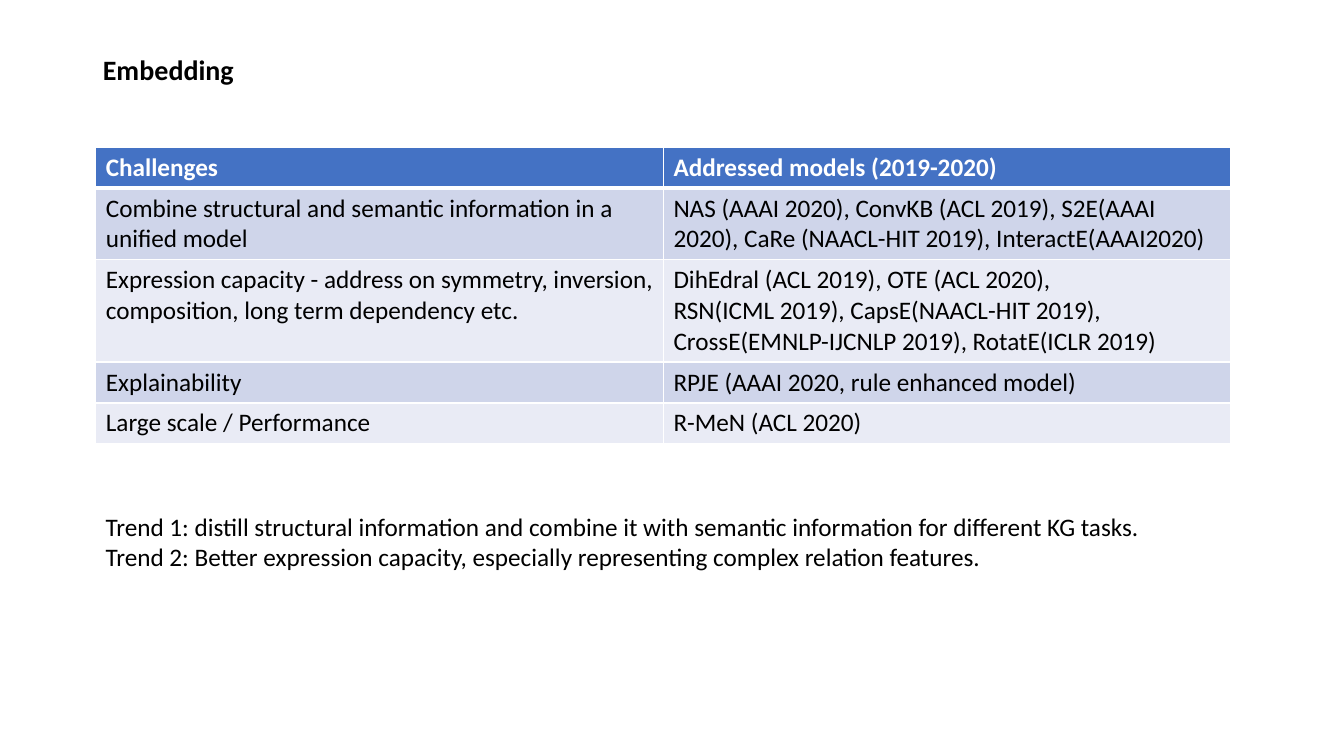
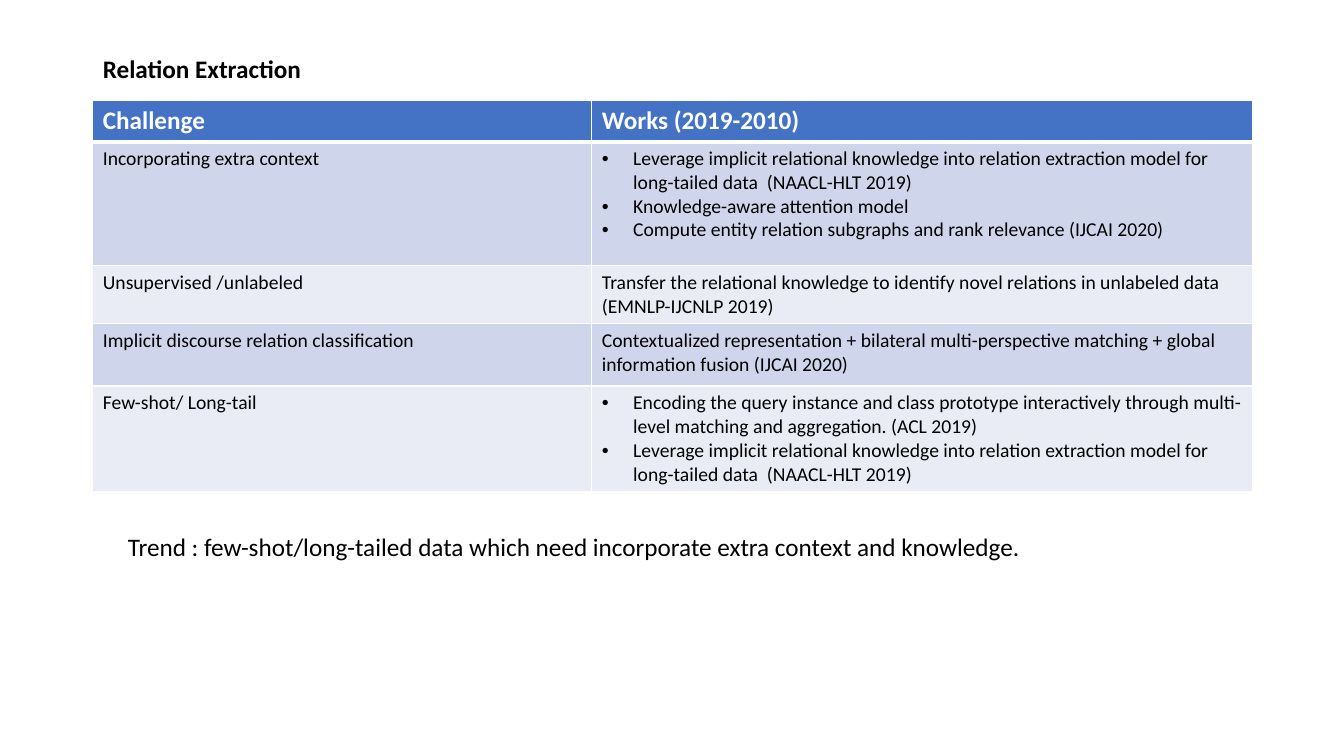
from pptx import Presentation
from pptx.dml.color import RGBColor as RGB
from pptx.enum.text import MSO_ANCHOR as Anchor, MSO_AUTO_SIZE as Auto, PP_ALIGN as Align
from pptx.oxml import parse_xml
from pptx.oxml.ns import nsdecls
from pptx.util import Inches, Pt

FONT = "Calibri"
BLACK = RGB(0x00, 0x00, 0x00)
WHITE = RGB(0xFF, 0xFF, 0xFF)
HEADER_BLUE = RGB(0x44, 0x72, 0xC4)
BANDS = (RGB(0xCF, 0xD5, 0xEA), RGB(0xE9, 0xEB, 0xF5))
BULLET_INDENT = Inches(0.31)
LONG_TAIL = ("Leverage implicit relational knowledge into relation extraction model "
             "for long-tailed data  (NAACL-HLT 2019)")

SLIDES = [
    {
        "title": "Embedding", "title_box": (0.92, 0.42, 11.5, 0.57), "title_size": 20,
        "table_at": (0.95, 1.46), "cols": (5.63, 5.63),
        "heights": (0.4, 0.71, 1.01, 0.4, 0.4), "body_size": 18,
        "rows": [
            ("Challenges", "Addressed models (2019-2020)"),
            ("Combine structural and semantic information in a unified model",
             "NAS (AAAI 2020), ConvKB (ACL 2019), S2E(AAAI 2020), CaRe (NAACL-HIT 2019), "
             "InteractE(AAAI2020)"),
            ("Expression capacity - address on symmetry, inversion, composition, "
             "long term dependency etc.",
             "DihEdral (ACL 2019), OTE (ACL 2020),\n"
             "RSN(ICML 2019), CapsE(NAACL-HIT 2019), CrossE(EMNLP-IJCNLP 2019), "
             "RotatE(ICLR 2019)"),
            ("Explainability", "RPJE (AAAI 2020, rule enhanced model)"),
            ("Large scale / Performance", "R-MeN (ACL 2020)"),
        ],
        "trend_box": (0.95, 5.02, 11.27, 0.71),
        "trends": "Trend 1: distill structural information and combine it with semantic "
                  "information for different KG tasks.\n"
                  "Trend 2: Better expression capacity, especially representing complex "
                  "relation features.",
    },
    {
        "title": "Relation Extraction", "title_box": (0.92, 0.4, 11.5, 0.6), "title_size": 18,
        "table_at": (0.92, 1), "cols": (4.95, 6.55),
        "heights": (0.4, 1.23, 0.57, 0.62, 1.04), "body_size": 14,
        "rows": [
            ("Challenge", "Works (2019-2010)"),
            ("Incorporating extra context",
             [LONG_TAIL, "Knowledge-aware attention model",
              "Compute entity relation subgraphs and rank relevance (IJCAI 2020)"]),
            ("Unsupervised /unlabeled",
             "Transfer the relational knowledge to identify novel relations in unlabeled data "
             "(EMNLP-IJCNLP 2019)"),
            ("Implicit discourse relation classification",
             "Contextualized representation + bilateral multi-perspective matching + global "
             "information fusion (IJCAI 2020)"),
            ("Few-shot/ Long-tail",
             ["Encoding the query instance and class prototype interactively through "
              "multi-level matching and aggregation. (ACL 2019)", LONG_TAIL]),
        ],
        "trend_box": (1.17, 5.22, 10.94, 0.4),
        "trends": "Trend : few-shot/long-tailed data which need incorporate extra context "
                  "and knowledge.",
    },
]


def write(tf, content, size, color=BLACK, bold=False):
    bulleted = isinstance(content, list)
    tf.text = "\n".join(content) if bulleted else content
    tf.word_wrap = True
    for p in tf.paragraphs:
        p.alignment = Align.LEFT
        for r in p.runs:
            for name, value in {"name": FONT, "size": Pt(size), "bold": bold}.items():
                setattr(r.font, name, value)
            r.font.color.rgb = color
        if bulleted:
            add_bullet(p)


def add_bullet(p):
    pPr = p._p.get_or_add_pPr()
    pPr.set("marL", str(BULLET_INDENT))
    pPr.set("indent", str(-BULLET_INDENT))
    pPr.append(parse_xml(f'<a:buFont {nsdecls("a")} typeface="Arial"/>'))
    pPr.append(parse_xml(f'<a:buChar {nsdecls("a")} char="•"/>'))


def add_borders(cell, widths):
    tcPr = cell._tc.get_or_add_tcPr()
    for side, width in widths.items():
        tcPr.append(parse_xml(
            f'<a:ln{side} {nsdecls("a")} w="{Pt(width)}"><a:solidFill>'
            f'<a:srgbClr val="{WHITE}"/></a:solidFill></a:ln{side}>'))


def add_title(s, d):
    sp = s.shapes.title
    sp.left, sp.top, sp.width, sp.height = map(Inches, d["title_box"])
    tf = sp.text_frame
    write(tf, d["title"], d["title_size"], bold=True)
    tf.auto_size = Auto.NONE
    tf.vertical_anchor = Anchor.MIDDLE
    tf.paragraphs[0].line_spacing = 0.9


def add_table(s, d):
    rows, cols, heights = d["rows"], d["cols"], d["heights"]
    x, y = map(Inches, d["table_at"])
    table = s.shapes.add_table(len(rows), len(cols), x, y,
                               Inches(sum(cols)), Inches(sum(heights))).table
    for col, width in zip(table.columns, cols):
        col.width = Inches(width)
    for i, (row, height, texts) in enumerate(zip(table.rows, heights, rows)):
        row.height = Inches(height)
        header = i == 0
        for cell, content in zip(row.cells, texts):
            add_borders(cell, {"L": 1, "R": 1, "T": 3 if i == 1 else 1, "B": 3 if header else 1})
            cell.fill.solid()
            cell.fill.fore_color.rgb = HEADER_BLUE if header else BANDS[(i - 1) % 2]
            if header:
                write(cell.text_frame, content, 18, WHITE, True)
            else:
                write(cell.text_frame, content, d["body_size"])


def add_trends(s, d):
    sp = s.shapes.add_textbox(*map(Inches, d["trend_box"]))
    write(sp.text_frame, d["trends"], 18)
    sp.text_frame.auto_size = Auto.SHAPE_TO_FIT_TEXT


def main():
    prs = Presentation()
    prs.slide_width, prs.slide_height = Inches(13.33), Inches(7.5)
    title_only = prs.slide_layouts[5]
    for d in SLIDES:
        s = prs.slides.add_slide(title_only)
        add_title(s, d)
        add_table(s, d)
        add_trends(s, d)
    prs.save("out.pptx")


if __name__ == "__main__":
    main()
